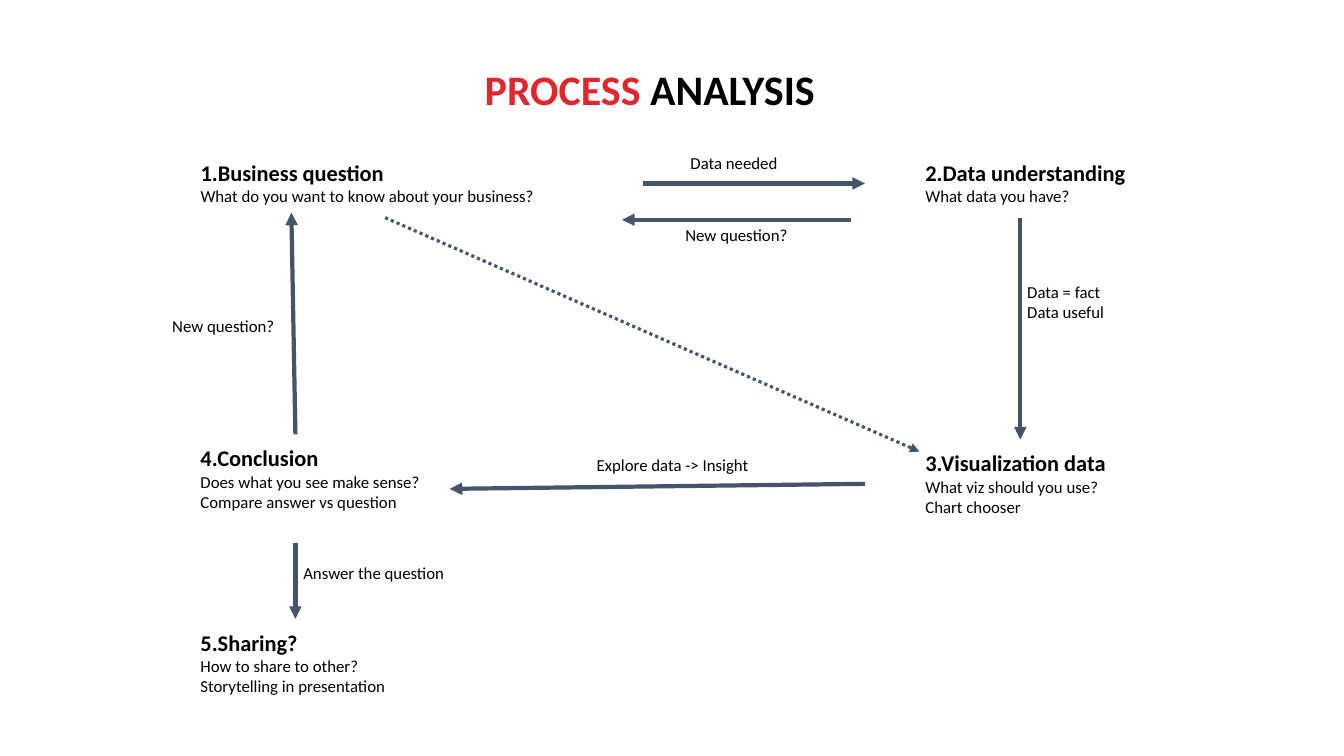
"""Build the process analysis slide: five steps linked by labelled arrows."""
from lxml.etree import SubElement
from pptx import Presentation
from pptx.dml.color import RGBColor
from pptx.enum.dml import MSO_LINE
from pptx.enum.shapes import MSO_CONNECTOR
from pptx.enum.text import MSO_ANCHOR, MSO_AUTO_SIZE, PP_ALIGN
from pptx.oxml.ns import qn
from pptx.util import Inches, Pt

COLORS = {"accent": "E2262D", "text": "000000", "arrow": "44546A"}
HEADING = {"name": "Calibri", "size": Pt(16), "bold": True}
BODY = {"name": "Calibri", "size": Pt(12), "bold": False}
TITLE = {"name": "Calibri", "size": Pt(30), "bold": True}


def add_box(left, top, width, height, inset):
    box = slide.shapes.add_textbox(Inches(left), Inches(top), Inches(width), Inches(height))
    frame = box.text_frame
    layout = {"word_wrap": True, "vertical_anchor": MSO_ANCHOR.TOP}
    for side in ("left", "top", "right", "bottom"):
        layout[f"margin_{side}"] = Inches(inset)
    for attribute, value in layout.items():
        setattr(frame, attribute, value)
    return frame


def add_run(paragraph, text, style, color="text"):
    run = paragraph.add_run()
    run.text = text
    for attribute, value in style.items():
        setattr(run.font, attribute, value)
    run.font.color.rgb = RGBColor.from_string(COLORS[color])


prs = Presentation()
prs.slide_width, prs.slide_height = Inches(13.33), Inches(7.5)
slide = prs.slides.add_slide(prs.slide_layouts[6])

title = add_box(0.25, 0.5, 12.39, 0.83, 0.13).paragraphs[0]
title.alignment = PP_ALIGN.CENTER
add_run(title, "PROCESS ", TITLE, "accent")
add_run(title, "ANALYSIS", TITLE)

steps = [
    (1.39, 1.48, 4.99, 0.67, ["1.Business question", "What do you want to know about your business?"]),
    (8.58, 1.48, 3.07, 0.67, ["2.Data understanding", "What data you have?"]),
    (8.58, 4.36, 3.07, 0.88, ["3.Visualization data", "What viz should you use?", "Chart chooser"]),
    (1.39, 4.31, 3.07, 1.08, ["4.Conclusion", "Does what you see make sense?", "Compare answer vs question"]),
    (1.39, 6.14, 3.07, 0.88, ["5.Sharing?", "How to share to other?", "Storytelling in presentation"]),
]
arrow_labels = [
    (6.25, 1.42, 2.2, 0.4, ["Data needed"]),
    (6.2, 2.13, 2.2, 0.4, ["New question?"]),
    (9.59, 2.69, 2.2, 0.61, ["Data = fact", "Data useful"]),
    (5.32, 4.41, 3.07, 0.4, ["Explore data -> Insight"]),
    (1.11, 3.03, 2.2, 0.4, ["New question?"]),
    (2.41, 5.48, 2.79, 0.4, ["Answer the question"]),
]
for entries, first_style in ((steps, HEADING), (arrow_labels, BODY)):
    for left, top, width, height, lines in entries:
        frame = add_box(left, top, width, height, 0.1)
        frame.auto_size = MSO_AUTO_SIZE.SHAPE_TO_FIT_TEXT
        for index, line in enumerate(lines):
            paragraph = frame.add_paragraph() if index else frame.paragraphs[0]
            properties = paragraph._p.get_or_add_pPr()
            properties.set("marL", str(Inches(0.5)))
            properties.set("indent", "0")
            add_run(paragraph, line, BODY if index else first_style)

SOLID = {"width": Pt(3)}
DOTTED = {"width": Pt(2.25), "dash_style": MSO_LINE.ROUND_DOT}
arrows = [
    (6.38, 1.82, 8.58, 1.82, SOLID),
    (8.44, 2.18, 6.17, 2.18, SOLID),
    (10.12, 2.16, 10.12, 4.36, SOLID),
    (8.58, 4.8, 4.46, 4.85, SOLID),
    (3.82, 2.16, 9.12, 4.48, DOTTED),
    (2.93, 4.31, 2.89, 2.11, SOLID),
    (2.93, 5.39, 2.93, 6.14, SOLID),
]
for *ends, style in arrows:
    arrow = slide.shapes.add_connector(MSO_CONNECTOR.STRAIGHT, *map(Inches, ends))
    arrow.line.color.rgb = RGBColor.from_string(COLORS["arrow"])
    for attribute, value in style.items():
        setattr(arrow.line, attribute, value)
    SubElement(arrow.line._get_or_add_ln(), qn("a:tailEnd"), type="triangle")
    SubElement(arrow._element.spPr, qn("a:effectLst"))

prs.save("out.pptx")
